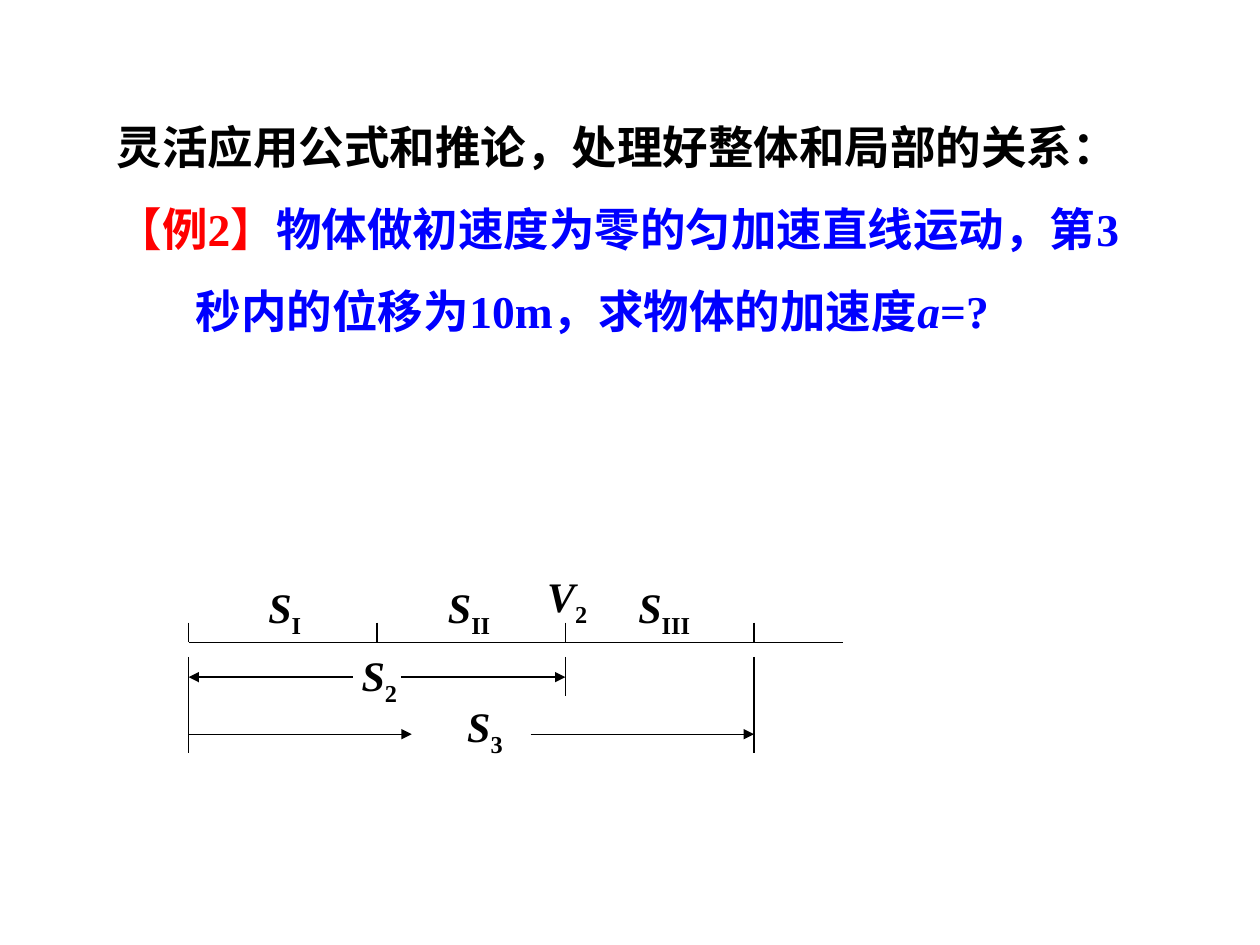
from lxml.etree import SubElement
from pptx import Presentation
from pptx.dml.color import RGBColor
from pptx.enum.shapes import MSO_CONNECTOR
from pptx.enum.text import MSO_ANCHOR, MSO_AUTO_SIZE, PP_ALIGN
from pptx.oxml.ns import qn
from pptx.util import Cm, Pt

COLORS = {"ink": "000000", "tag": "FF0000", "question": "0000FF"}
FONT = "Times New Roman"

# Problem text: paragraphs of (text, colour, italic)
PROBLEM = [
    [("灵活应用公式和推论，处理好整体和局部的关系：", "ink", False)],
    [("【例2】", "tag", False),
     ("物体做初速度为零的匀加速直线运动，第3秒内的位移为10m，求物体的加速度", "question", False),
     ("a", "question", True),
     ("=?", "question", False)],
]

# Motion diagram, in cm: one tick per second
START, STEP, AXIS_END = 3.8, 3.8, 17.0
TICKS = [START + STEP * i for i in range(4)]
TICK_TOP, AXIS_Y = 12.55, 12.95
GUIDE_TOP, SHORT_GUIDE, LONG_GUIDE = 13.24, 14.04, 15.18
S2_Y, S3_Y = 13.65, 14.8

# Labels: (letter, subscript, left, top, width)
LABELS = [
    ("S", "I", 5.16, 11.6, 1.2),
    ("S", "II", 8.78, 11.6, 1.4),
    ("S", "III", 12.62, 11.6, 1.6),
    ("V", "2", 10.78, 11.38, 1.35),
    ("S", "2", 7.04, 12.97, 1.25),
    ("S", "3", 9.17, 14.0, 1.25),
]

# Lines: (x1, y1, x2, y2)
LINES = [(START, AXIS_Y, AXIS_END, AXIS_Y)]
LINES += [(x, TICK_TOP, x, AXIS_Y) for x in TICKS]
LINES += [(TICKS[i], GUIDE_TOP, TICKS[i], bottom)
          for i, bottom in ((0, LONG_GUIDE), (2, SHORT_GUIDE), (3, LONG_GUIDE))]
ARROWS = [
    (7.11, S2_Y, TICKS[0], S2_Y),
    (8.08, S2_Y, TICKS[2], S2_Y),
    (TICKS[0], S3_Y, 8.3, S3_Y),
    (10.7, S3_Y, TICKS[3], S3_Y),
]


def add_run(p, text, size, color="ink", italic=False):
    r = p.add_run()
    r.text = text
    r.font.name, r.font.size = FONT, Pt(size)
    r.font.bold, r.font.italic = True, italic
    r.font.color.rgb = RGBColor.from_string(COLORS[color])
    return r


def add_line(s, points, arrow=False):
    sp = s.shapes.add_connector(MSO_CONNECTOR.STRAIGHT, *[Cm(v) for v in points])
    sp.line.color.rgb = RGBColor.from_string(COLORS["ink"])
    sp.line.width = Pt(0.75)
    if arrow:
        SubElement(sp.line._get_or_add_ln(), qn("a:tailEnd"), type="triangle")
    SubElement(sp._element.spPr, qn("a:effectLst"))


def add_label(s, letter, sub, left, top, width):
    sp = s.shapes.add_textbox(Cm(left), Cm(top), Cm(width), Cm(1.42))
    tf = sp.text_frame
    tf.word_wrap = False
    tf.auto_size = MSO_AUTO_SIZE.SHAPE_TO_FIT_TEXT
    p = tf.paragraphs[0]
    p.alignment = PP_ALIGN.LEFT
    add_run(p, letter, 24, italic=True)
    r = add_run(p, sub, 24)
    r.font._element.set("baseline", "-25000")


def fill_problem(sp):
    sp.left, sp.top, sp.width, sp.height = Cm(2.12), Cm(1.72), Cm(20.96), Cm(10.8)
    tf = sp.text_frame
    tf.word_wrap = True
    tf.auto_size = MSO_AUTO_SIZE.NONE
    tf.vertical_anchor = MSO_ANCHOR.TOP
    tf.margin_left = tf.margin_right = Cm(0.23)
    tf.margin_top = tf.margin_bottom = Cm(0.13)
    for i, parts in enumerate(PROBLEM):
        p = tf.paragraphs[0] if i == 0 else tf.add_paragraph()
        p.alignment = PP_ALIGN.LEFT
        p.line_spacing = 1.5
        p.space_before = p.space_after = Pt(0)
        pPr = p._p.get_or_add_pPr()
        pPr.set("marL", str(Cm(1.6)))
        pPr.set("indent", str(-Cm(1.6)))
        SubElement(pPr, qn("a:buNone"))
        for text, color, italic in parts:
            add_run(p, text, 26, color, italic)


prs = Presentation()
prs.slide_width, prs.slide_height = Cm(25.4), Cm(19.05)
s = prs.slides.add_slide(prs.slide_layouts[1])

# Problem text in the body; the slide has no title
title = s.shapes.title._element
title.getparent().remove(title)
fill_problem(s.placeholders[1])

# Motion diagram
for points in LINES:
    add_line(s, points)
for points in ARROWS:
    add_line(s, points, arrow=True)
for label in LABELS:
    add_label(s, *label)

prs.save("out.pptx")
